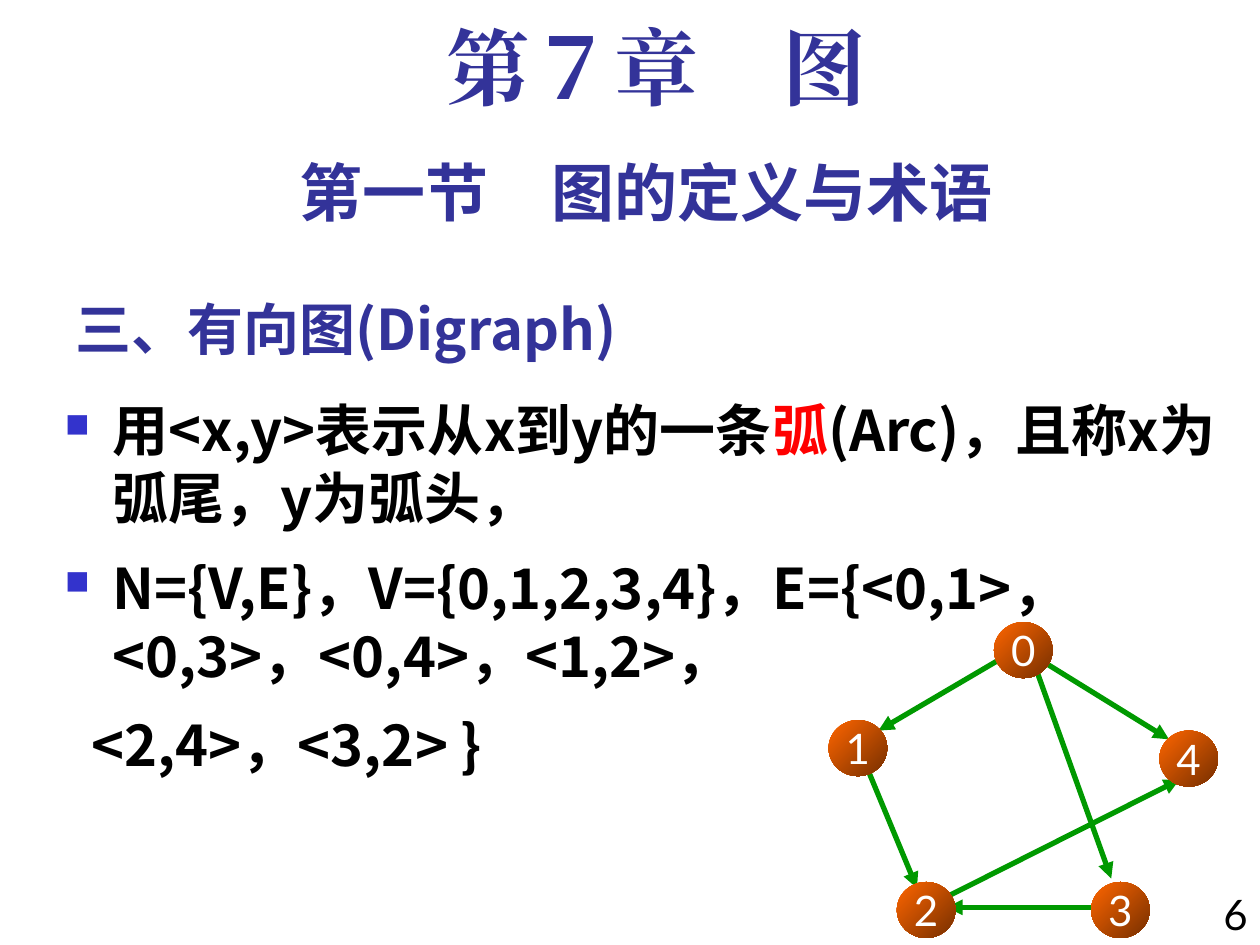
from lxml import etree
from pptx import Presentation
from pptx.dml.color import RGBColor
from pptx.enum.shapes import MSO_CONNECTOR, MSO_SHAPE
from pptx.enum.text import MSO_ANCHOR, PP_ALIGN
from pptx.oxml.ns import qn
from pptx.util import Pt

LEFT, CENTER, RIGHT = PP_ALIGN.LEFT, PP_ALIGN.CENTER, PP_ALIGN.RIGHT
TOP, MIDDLE, BOTTOM = MSO_ANCHOR.TOP, MSO_ANCHOR.MIDDLE, MSO_ANCHOR.BOTTOM
STRAIGHT, OVAL = MSO_CONNECTOR.STRAIGHT, MSO_SHAPE.OVAL

COLORS = {
    "heading": "333399", "text": "000000", "accent": "FF0000",
    "bullet": "3333CC", "arc": "009900", "label": "FFFFFF",
    "node_light": "FF6600", "node_dark": "762F00",
}
CJK, LATIN, SERIF = "Noto Sans CJK SC", "Lato", "Times New Roman"

NODE_WIDTH, NODE_HEIGHT = 33.5, 32
# Top left corner of each vertex
NODES = {
    "0": (568, 355.5), "1": (473.5, 411.5), "2": (512.5, 504),
    "3": (623.5, 504), "4": (662.5, 417.5),
}
# Arcs, each from its tail to its arrowhead
ARCS = [
    ((596, 378), (668, 422.5)),    # 0 to 4
    ((496, 440), (524, 507.5)),    # 1 to 2
    ((579.5, 372), (502, 417.5)),  # 0 to 1
    ((590.5, 378), (635, 502)),    # 0 to 3
    ((623.5, 518.5), (541, 518.5)),  # 3 to 2
    ((541, 512.5), (674, 445.5)),  # 2 to 4
]


def color(name):
    return RGBColor.from_string(COLORS[name])


def write(para, text, *, size, font, ink="text", bold=False):
    """Add one formatted span of text to a paragraph."""
    span = para.add_run()
    span.text = text
    span.font.size = Pt(size)
    span.font.name = font
    span.font.bold = bold
    span.font.color.rgb = color(ink)
    east_asian = etree.SubElement(span.font._element, qn("a:ea"))
    east_asian.set("typeface", font)


def add_box(page, left, top, width, height, anchor=TOP):
    box = page.shapes.add_textbox(Pt(left), Pt(top), Pt(width), Pt(height))
    box.text_frame.word_wrap = True
    box.text_frame.vertical_anchor = anchor
    return box.text_frame


def add_line(page, bounds, text, *, align=LEFT, anchor=TOP, spacing=None, **style):
    """Add a text box that holds a single line."""
    para = add_box(page, *bounds, anchor=anchor).paragraphs[0]
    para.alignment = align
    if spacing:
        para.line_spacing = spacing
    write(para, text, **style)


def set_indent(para, margin, first=0, bullet=False):
    props = para._p.get_or_add_pPr()
    props.set("marL", str(Pt(margin)))
    props.set("indent", str(Pt(first)))
    if bullet:
        bullet_color = etree.SubElement(props, qn("a:buClr"))
        etree.SubElement(bullet_color, qn("a:srgbClr")).set("val", COLORS["bullet"])
        etree.SubElement(props, qn("a:buSzPct")).set("val", "60000")
        etree.SubElement(props, qn("a:buChar")).set("char", "■")


def add_body(page):
    frame = add_box(page, 30, 222, 690, 318)
    items = [
        (True, [("用<x,y>表示从x到y的一条", "text"), ("弧", "accent"),
                ("(Arc)，且称x为弧尾，y为弧头，", "text")]),
        (True, [("N={V,E}，V={0,1,2,3,4}，E={<0,1>，<0,3>，<0,4>，<1,2>，", "text")]),
        (False, [("<2,4>，<3,2> }", "text")]),
    ]
    for index, (bullet, spans) in enumerate(items):
        para = frame.add_paragraph() if index else frame.paragraphs[0]
        if bullet:
            set_indent(para, 27, -27, bullet=True)
        else:
            set_indent(para, 15)
        para.line_spacing = Pt(39)
        if index:
            para.space_before = Pt(12)
        for text, ink in spans:
            write(para, text, size=32, font=CJK, ink=ink, bold=True)


def add_arc(page, start, end):
    arc = page.shapes.add_connector(STRAIGHT, *map(Pt, start + end))
    arc.line.width = Pt(3)
    arc.line.color.rgb = color("arc")
    etree.SubElement(arc.line._get_or_add_ln(), qn("a:tailEnd")).set("type", "triangle")
    etree.SubElement(arc._element.spPr, qn("a:effectLst"))


def add_node(page, label, left, top):
    node = page.shapes.add_shape(OVAL, Pt(left), Pt(top), Pt(NODE_WIDTH), Pt(NODE_HEIGHT))
    node.shadow.inherit = False
    node.line.fill.background()
    node.fill.gradient()
    node.fill.gradient_angle = 315
    for stop, name in zip(node.fill.gradient_stops, ("node_light", "node_dark")):
        stop.color.rgb = color(name)
    frame = node.text_frame
    frame.margin_left = frame.margin_right = 0
    frame.word_wrap = False
    frame.vertical_anchor = MIDDLE
    frame.paragraphs[0].alignment = CENTER
    write(frame.paragraphs[0], label, size=24, font=LATIN, ink="label")


def main():
    deck = Presentation()
    deck.slide_width, deck.slide_height = Pt(720), Pt(540)
    page = deck.slides.add_slide(deck.slide_layouts[6])

    # Headings and page number
    add_line(page, (36, 156, 450, 54), "三、有向图(Digraph)", anchor=BOTTOM,
             size=32, font=CJK, ink="heading", bold=True)
    add_line(page, (672, 504, 48, 42), "6", align=RIGHT, size=24, font=LATIN)
    add_line(page, (36, 84, 666, 50), "第一节　图的定义与术语", align=CENTER,
             size=36, font=LATIN, ink="heading", bold=True)
    add_line(page, (48, 12, 654, 60), "第７章　图", align=CENTER, spacing=0.9,
             size=48, font=SERIF, ink="heading", bold=True)

    # Definition of a digraph
    add_body(page)

    # Example digraph
    for start, end in ARCS:
        add_arc(page, start, end)
    for label, (left, top) in NODES.items():
        add_node(page, label, left, top)

    deck.save("out.pptx")


if __name__ == "__main__":
    main()
